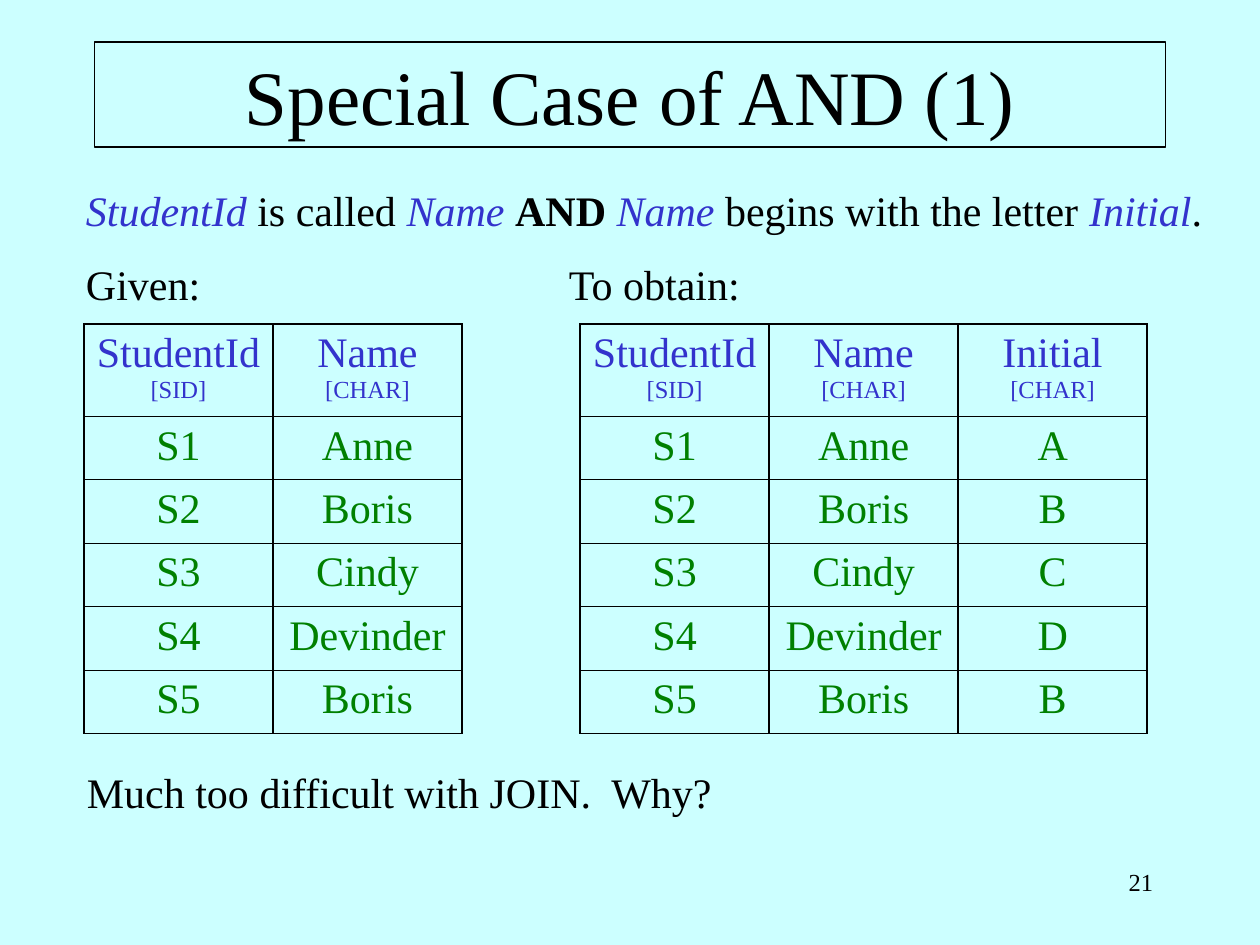
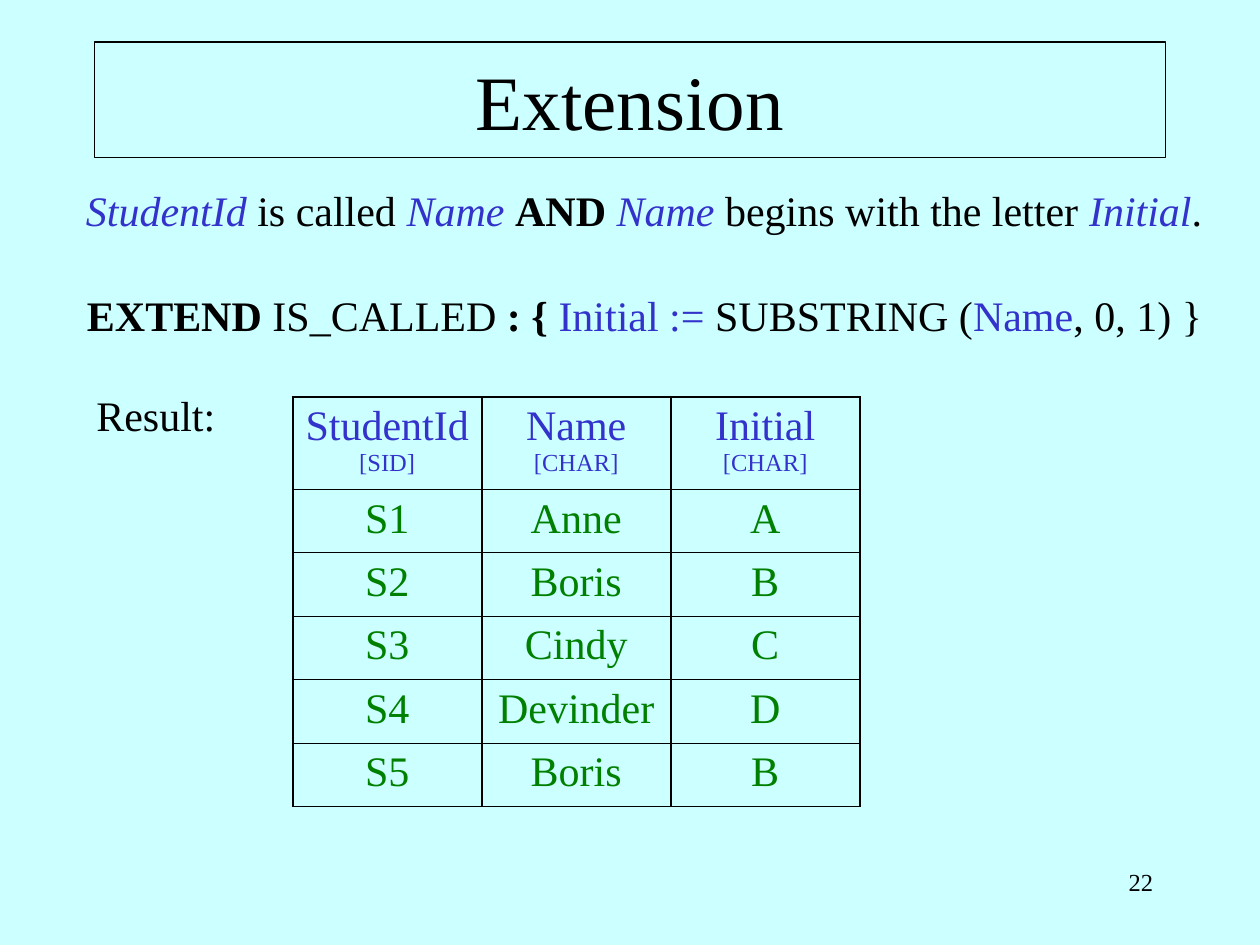
import pptx
import pptx.dml.color
import pptx.enum.shapes
import pptx.enum.text
import pptx.oxml.ns
import pptx.util
from dataclasses import dataclass
from lxml import etree

ALIGN = pptx.enum.text.PP_ALIGN


@dataclass(frozen=True)
class Theme:
    font: str = "Times New Roman"
    # Colours
    background: str = "CCFFFF"
    ink: str = "000000"
    attribute: str = "3333CC"
    value: str = "008000"
    # Type sizes and line widths, in points
    title: int = 44
    body: int = 24
    small: int = 14
    box_line: float = 0.75
    thick: float = 1.08
    thin: float = 0.45


class Deck:
    """Holds the theme and current slide; lengths are cells of a grid."""
    COLS, ROWS = 120, 90

    def __init__(self, theme):
        self.theme = theme
        self.prs = pptx.Presentation()
        self.prs.slide_width = pptx.util.Inches(10)
        self.prs.slide_height = pptx.util.Inches(7.5)
        self.s = None

    def x(self, cols):
        return round(self.prs.slide_width * cols / self.COLS)

    def y(self, rows):
        return round(self.prs.slide_height * rows / self.ROWS)

    def box(self, left, top, width, height):
        return self.x(left), self.y(top), self.x(width), self.y(height)

    def rgb(self, name):
        return pptx.dml.color.RGBColor.from_string(getattr(self.theme, name))

    def run(self, p, text, color="ink", size="body", bold=False, italic=False):
        r = p.add_run()
        r.text = text
        r.font.name = self.theme.font
        r.font.size = pptx.util.Pt(getattr(self.theme, size))
        r.font.color.rgb = self.rgb(color)
        r.font.bold, r.font.italic = bold, italic

    # Background, boxed title and page number
    def slide(self, title, number, title_rows):
        self.s = self.prs.slides.add_slide(self.prs.slide_layouts[6])
        fill = self.s.background.fill
        fill.solid()
        fill.fore_color.rgb = self.rgb("background")
        sp = self.s.shapes.add_shape(pptx.enum.shapes.MSO_SHAPE.RECTANGLE,
                                     *self.box(9, 4, 102, title_rows))
        sp.shadow.inherit = False
        sp.fill.background()
        sp.line.color.rgb = self.rgb("ink")
        sp.line.width = pptx.util.Pt(self.theme.box_line)
        tf = sp.text_frame
        tf.word_wrap = True
        tf.vertical_anchor = pptx.enum.text.MSO_ANCHOR.MIDDLE
        p = tf.paragraphs[0]
        p.alignment = ALIGN.CENTER
        self.run(p, title, size="title")
        self.text(86, 82, 25, [(str(number), dict(size="small"))], ALIGN.RIGHT)

    # One line of text, given as (text, style) runs
    def text(self, left, top, width, runs, align=ALIGN.LEFT):
        sp = self.s.shapes.add_textbox(*self.box(left, top, width, 6))
        tf = sp.text_frame
        tf.word_wrap = True
        p = tf.paragraphs[0]
        p.alignment = align
        for text, style in runs:
            self.run(p, text, **style)

    def borders(self, cell, top, bottom):
        tc_pr = cell._tc.get_or_add_tcPr()
        qn = pptx.oxml.ns.qn
        widths = dict(L="thick", R="thick", T=top, B=bottom)
        for side, width in widths.items():
            points = getattr(self.theme, width)
            ln = etree.SubElement(tc_pr, qn(f"a:ln{side}"),
                                  w=str(pptx.util.Pt(points)))
            fill = etree.SubElement(ln, qn("a:solidFill"))
            etree.SubElement(fill, qn("a:srgbClr"), val=self.theme.ink)

    # Relation table: headings are (attribute, type) pairs
    def relation(self, left, top, headings, rows, col=18, head=8.8, row=6.04):
        n_rows, n_cols = len(rows) + 1, len(headings)
        frame = self.s.shapes.add_table(
            n_rows, n_cols,
            *self.box(left, top, col * n_cols, head + row * len(rows)))
        table = frame.table
        table.first_row = table.horz_banding = False
        for column in table.columns:
            column.width = self.x(col)
        for i, values in enumerate([headings, *rows]):
            table.rows[i].height = self.y(row if i else head)
            for j, value in enumerate(values):
                cell = table.cell(i, j)
                self.borders(cell, "thick" if i < 2 else "thin",
                             "thick" if i in (0, n_rows - 1) else "thin")
                cell.fill.background()
                p = cell.text_frame.paragraphs[0]
                p.alignment = ALIGN.CENTER
                if i:
                    self.run(p, value, "value")
                else:
                    name, kind = value
                    self.run(p, name, "attribute")
                    p.add_line_break()
                    self.run(p, f"[{kind}]", "attribute", "small")


# Run styles
PLAIN = {}
BOLD = dict(bold=True)
ATTRIBUTE = dict(color="attribute")
PARAMETER = dict(color="attribute", italic=True)

# Shared content
LABEL_WIDTH = 22
PREDICATE = [("StudentId", PARAMETER), (" is called ", PLAIN),
             ("Name ", PARAMETER), ("AND ", BOLD), ("Name", PARAMETER),
             (" begins with the letter ", PLAIN), ("Initial", PARAMETER),
             (".", PLAIN)]
CALLED_HEAD = [("StudentId", "SID"), ("Name", "CHAR")]
NAMES = ["Anne", "Boris", "Cindy", "Devinder", "Boris"]
CALLED = [(f"S{n}", name) for n, name in enumerate(NAMES, 1)]
EXTENDED_HEAD = CALLED_HEAD + [("Initial", "CHAR")]
EXTENDED = [(sid, name, name[0]) for sid, name in CALLED]


def main():
    deck = Deck(Theme())

    # Slide 21: the given and wanted relations
    deck.slide("Special Case of AND (1)", 21, title_rows=10)
    deck.text(7, 17, 112, PREDICATE)
    deck.relation(8, 30.85, CALLED_HEAD, CALLED)
    deck.relation(55.25, 30.85, EXTENDED_HEAD, EXTENDED)
    deck.text(7, 24, LABEL_WIDTH, [("Given:", PLAIN)])
    deck.text(53, 24, LABEL_WIDTH, [("To obtain:", PLAIN)])
    deck.text(7.1, 72.4, 66, [("Much too difficult with JOIN.  Why?", PLAIN)])

    # Slide 22: the EXTEND expression and its result
    deck.slide("Extension", 22, title_rows=11)
    deck.text(7, 17, 112, PREDICATE)
    deck.text(7.1, 27, 112, [
        ("EXTEND", BOLD), (" IS_CALLED ", PLAIN), (": { ", BOLD),
        ("Initial := ", ATTRIBUTE), ("SUBSTRING (", PLAIN),
        ("Name", ATTRIBUTE), (", 0, 1) }", PLAIN)])
    deck.relation(27.88, 37.8, EXTENDED_HEAD, EXTENDED)
    deck.text(8, 36.5, 18, [("Result:", PLAIN)])

    deck.prs.save("out.pptx")


if __name__ == "__main__":
    main()
